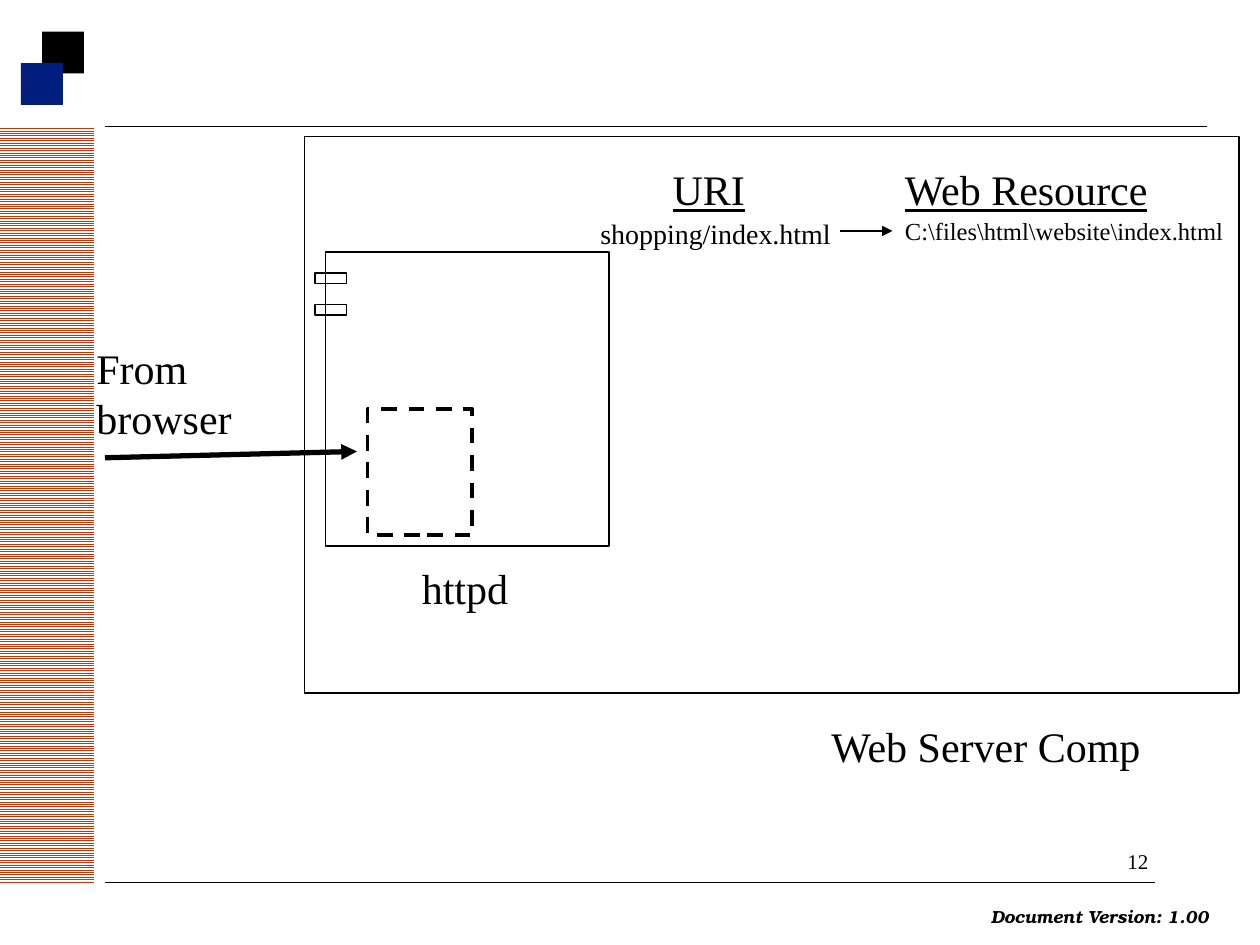
from dataclasses import dataclass

from lxml.etree import SubElement
from pptx import Presentation
from pptx.dml.color import RGBColor
from pptx.enum.dml import MSO_LINE, MSO_PATTERN
from pptx.enum.shapes import MSO_CONNECTOR, MSO_SHAPE
from pptx.enum.text import MSO_AUTO_SIZE, PP_ALIGN
from pptx.oxml.ns import qn
from pptx.util import Emu, Pt

PX = 7620


@dataclass(frozen=True)
class Theme:
    """Colours, fonts and type sizes of the slide."""
    ink: RGBColor = RGBColor(0x00, 0x00, 0x00)
    paper: RGBColor = RGBColor(0xFF, 0xFF, 0xFF)
    stripe: RGBColor = RGBColor(0xCC, 0x33, 0x00)
    accent: RGBColor = RGBColor(0x00, 0x1E, 0x7E)
    body_font: str = "Times New Roman"
    footer_font: str = "TeX Gyre Bonum"
    heading: int = 24
    uri: int = 16
    resource: int = 14
    page: int = 12
    footer: int = 10
    hairline: float = 0.25
    outline: float = 0.75
    dashed: float = 2.25
    request: float = 3


THEME = Theme()


@dataclass(frozen=True)
class Region:
    """A box on the slide that places parts relative to its corner."""
    shapes: object
    left: int
    top: int
    width: int
    height: int

    def at(self, x, y):
        """Return a local point in EMU."""
        return Emu((self.left + x) * PX), Emu((self.top + y) * PX)

    def inner(self, x, y, width, height):
        """Return a region nested in this one."""
        return Region(self.shapes, self.left + x, self.top + y, width, height)

    def rect(self, x, y, width, height, fill=None, weight=None):
        """Add a rectangle, filled or outlined."""
        box = self.shapes.add_shape(MSO_SHAPE.RECTANGLE, *self.at(x, y),
                                    Emu(width * PX), Emu(height * PX))
        box.shadow.inherit = False
        if fill is None:
            box.fill.background()
        else:
            box.fill.solid()
            box.fill.fore_color.rgb = fill
        if weight is None:
            box.line.fill.background()
        else:
            box.line.color.rgb = THEME.ink
            box.line.width = Pt(weight)
        return box

    def line(self, start, end, weight, arrow=False):
        """Add a straight line, with an arrowhead at its end if asked."""
        rule = self.shapes.add_connector(MSO_CONNECTOR.STRAIGHT,
                                         *self.at(*start), *self.at(*end))
        rule.line.color.rgb = THEME.ink
        rule.line.width = Pt(weight)
        properties = rule._element.spPr
        if arrow:
            SubElement(properties.find(qn("a:ln")), qn("a:tailEnd"), type="triangle")
        SubElement(properties, qn("a:effectLst"))

    def text(self, words, x, y, width, height, size=THEME.heading,
             wrap=True, align=PP_ALIGN.LEFT, face=THEME.body_font):
        """Add one line of text and return its font."""
        label = self.shapes.add_textbox(*self.at(x, y), Emu(width * PX), Emu(height * PX))
        frame = label.text_frame
        frame.word_wrap = wrap
        frame.auto_size = MSO_AUTO_SIZE.SHAPE_TO_FIT_TEXT
        paragraph = frame.paragraphs[0]
        paragraph.alignment = align
        run = paragraph.add_run()
        run.text = words
        run.font.name = face
        run.font.size = Pt(size)
        run.font.color.rgb = THEME.ink
        return run.font


def add_stripe_band(region):
    """Fill the left edge with a striped band turned upright."""
    length, depth = region.height, region.width
    offset = (length - depth) // 2
    band = region.rect(-offset, offset, length, depth)
    band.rotation = 270
    band.fill.patterned()
    band.fill.pattern = MSO_PATTERN.LIGHT_HORIZONTAL
    band.fill.fore_color.rgb = THEME.stripe
    band.fill.back_color.rgb = THEME.paper


def add_header(region):
    """Place the two overlapping squares and the rule under them."""
    region.line((80, region.height), (region.width, region.height), THEME.hairline)
    region.rect(20, 0, 40, 40, fill=THEME.ink)
    region.rect(0, 30, 40, 40, fill=THEME.accent)


def add_footer(region):
    """Place the document version, the rule and the page number."""
    version = region.text("Document Version: 1.00", 832, 55, 233, 32, THEME.footer,
                          wrap=False, face=THEME.footer_font)
    version.bold = version.italic = True
    region.line((0, 38), (1000, 38), THEME.hairline)
    region.text("12", 962, 0, 48, 36, THEME.page, wrap=False)


def add_httpd(region):
    """Draw the httpd component with its tabs, inner process and label."""
    region.rect(0, 0, region.width, region.height, weight=THEME.outline)
    for tab_top in (20, 50):
        region.rect(-10, tab_top, 30, 10, weight=THEME.outline)
    process = region.rect(40, 150, 100, 120, weight=THEME.dashed)
    process.line.dash_style = MSO_LINE.DASH
    region.text("httpd", 80, 290, 120, 60)


def add_mapping(region):
    """Map a URI to the web resource that it names."""
    region.text("URI", 20, 0, 190, 60, align=PP_ALIGN.CENTER).underline = True
    region.text("Web Resource", 290, 0, 280, 60).underline = True
    region.text("shopping/index.html", 0, 50, 280, 44, THEME.uri)
    region.text(r"C:\files\html\website\index.html", 290, 50, 330, 40, THEME.resource)
    region.line((240, 70), (290, 70), THEME.outline, arrow=True)


def add_server(region):
    """Draw the server computer and what it holds."""
    region.rect(0, 0, region.width, region.height, weight=THEME.outline)
    region.text("Web Server Comp", 490, 550, 350, 60)
    add_httpd(region.inner(20, 110, 270, 280))
    add_mapping(region.inner(270, 20, 620, 94))


def add_request(region):
    """Show the request coming from the browser."""
    region.text("From browser", 0, 0, 200, 108)
    region.line((20, 116), (region.width, 110), THEME.request, arrow=True)


def main():
    """Build and save the slide."""
    deck = Presentation()
    deck.slide_width, deck.slide_height = Emu(1200 * PX), Emu(900 * PX)
    shapes = deck.slides.add_slide(deck.slide_layouts[6]).shapes
    add_stripe_band(Region(shapes, 0, 120, 90, 720))
    add_header(Region(shapes, 20, 30, 1130, 90))
    add_footer(Region(shapes, 100, 802, 1065, 87))
    add_server(Region(shapes, 290, 130, 890, 530))
    add_request(Region(shapes, 80, 320, 260, 116))
    deck.save("out.pptx")


if __name__ == "__main__":
    main()
